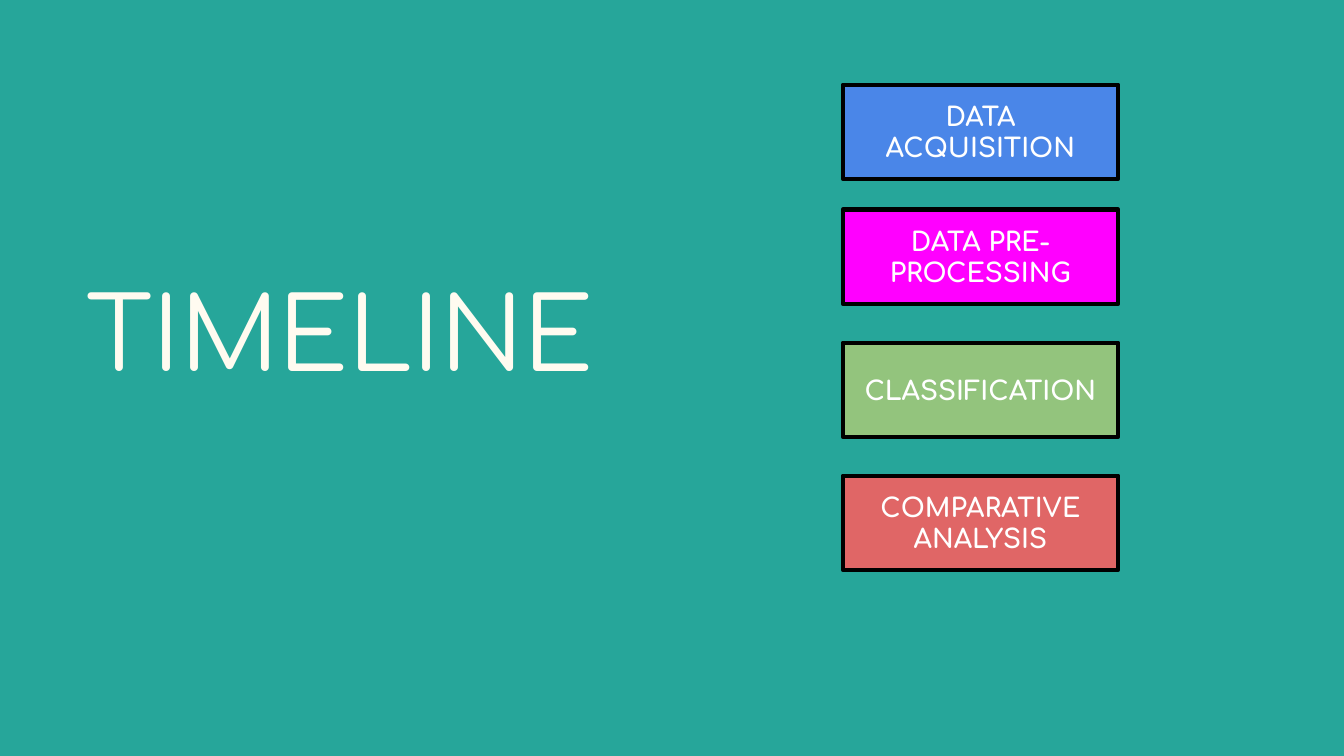
from pptx import Presentation, util as u
from pptx.dml.color import RGBColor
from pptx.enum import shapes, text

FONT = "Comfortaa"
TEAL = RGBColor(0x26, 0xA6, 0x9A)
CREAM = RGBColor(0xFF, 0xFB, 0xF0)
WHITE = RGBColor(0xFF, 0xFF, 0xFF)
BLACK = RGBColor(0, 0, 0)
BLUE = RGBColor(0x4A, 0x86, 0xE8)
PINK = RGBColor(0xFF, 0, 0xFF)
GREEN = RGBColor(0x93, 0xC4, 0x7D)
RED = RGBColor(0xE0, 0x66, 0x66)

# Slide in 16:9 format
WIDE = u.Inches(10)
HIGH = WIDE * 9 // 16

# Each step: label, fill, distance from the top of the column in inches
STEPS = [
    ("DATA ACQUISITION", BLUE, 0),
    ("DATA PRE-PROCESSING", PINK, 0.93),
    ("CLASSIFICATION", GREEN, 1.92),
    ("COMPARATIVE ANALYSIS", RED, 2.91),
]
STEP_H = 0.7


def write(shape, words, size, color, align, bold=None):
    frame = shape.text_frame
    frame.text = words
    frame.word_wrap = True
    frame.auto_size = text.MSO_AUTO_SIZE.NONE
    frame.vertical_anchor = text.MSO_ANCHOR.MIDDLE
    frame.margin_left = frame.margin_right = u.Inches(0.1)
    frame.margin_top = frame.margin_bottom = u.Inches(0.1)
    para = frame.paragraphs[0]
    para.alignment = align
    font = para.runs[0].font
    font.name, font.size, font.bold = FONT, u.Pt(size), bold
    font.color.rgb = color


def add_title(slide, left, top, width, height):
    title = slide.shapes.title
    title.left, title.top = u.Inches(left), u.Inches(top)
    title.width, title.height = u.Inches(width), u.Inches(height)
    write(title, "TIMELINE", 54, CREAM, text.PP_ALIGN.LEFT)


def add_steps(slide, left, top, width):
    for label, fill, drop in STEPS:
        box = slide.shapes.add_shape(
            shapes.MSO_SHAPE.FLOWCHART_PROCESS, u.Inches(left),
            u.Inches(top + drop), u.Inches(width), u.Inches(STEP_H))
        box.shadow.inherit = False
        box.fill.solid()
        box.fill.fore_color.rgb = fill
        box.line.color.rgb = BLACK
        box.line.width = u.Pt(2.25)
        write(box, label, 14, WHITE, text.PP_ALIGN.CENTER, bold=True)


def main():
    deck = Presentation()
    deck.slide_width, deck.slide_height = WIDE, HIGH
    slide = deck.slides.add_slide(deck.slide_layouts.get_by_name("Title Only"))
    slide.background.fill.solid()
    slide.background.fill.fore_color.rgb = TEAL

    # Heading on the left, column of steps on the right
    add_title(slide, 0.54, 0.23, 6.13, 4.47)
    add_steps(slide, 6.27, 0.63, 2.05)
    deck.save("out.pptx")


if __name__ == "__main__":
    main()
